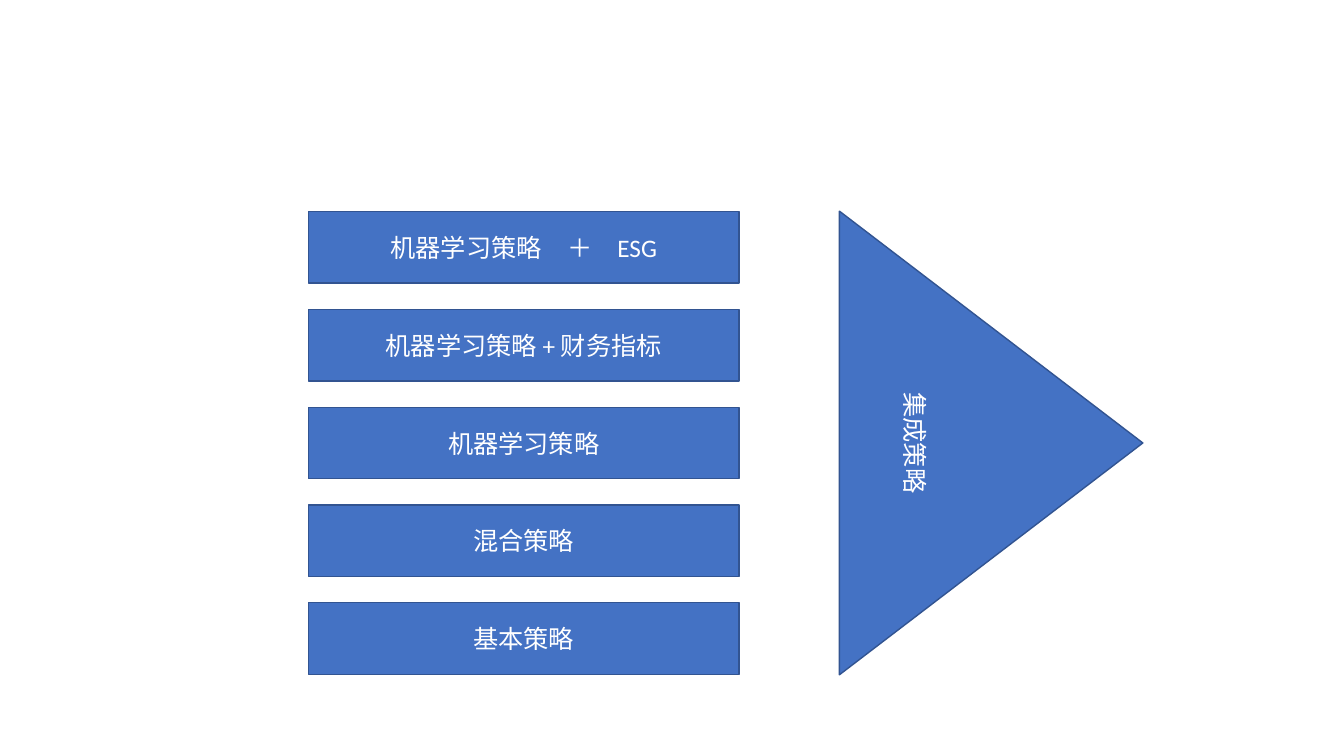
from pptx import Presentation
from pptx.dml.color import RGBColor
from pptx.enum.shapes import MSO_SHAPE
from pptx.enum.text import MSO_ANCHOR, PP_ALIGN
from pptx.util import Inches, Pt

STRATEGIES = [
    "机器学习策略　＋　ESG",
    "机器学习策略 + 财务指标",
    "机器学习策略",
    "混合策略",
    "基本策略",
]
ENSEMBLE = "集成策略"

BLUE = RGBColor(0x44, 0x72, 0xC4)
DARK_BLUE = RGBColor(0x32, 0x54, 0x91)
WHITE = RGBColor(0xFF, 0xFF, 0xFF)

STACK_LEFT, STACK_TOP, STACK_PITCH = 3.06, 2.1, 0.97
STRATEGY_WIDTH, STRATEGY_HEIGHT = 4.27, 0.71
ENSEMBLE_BOX = (7.53, 2.89, 4.6, 3.01)


def add_block(slide, preset, box, label):
    block = slide.shapes.add_shape(preset, *map(Inches, box))
    block.shadow.inherit = False
    block.fill.solid()
    block.fill.fore_color.rgb = BLUE
    block.line.color.rgb = DARK_BLUE
    block.line.width = Pt(1)
    block.text_frame.vertical_anchor = MSO_ANCHOR.MIDDLE
    caption = block.text_frame.paragraphs[0]
    caption.text = label
    caption.alignment = PP_ALIGN.CENTER
    caption.font.name = "Calibri"
    caption.font.size = Pt(18)
    caption.font.color.rgb = WHITE
    return block


def main():
    deck = Presentation()
    deck.slide_width, deck.slide_height = Inches(13.33), Inches(7.5)
    slide = deck.slides.add_slide(deck.slide_layouts[6])

    for row, strategy in enumerate(STRATEGIES):
        top = STACK_TOP + row * STACK_PITCH
        box = (STACK_LEFT, top, STRATEGY_WIDTH, STRATEGY_HEIGHT)
        add_block(slide, MSO_SHAPE.RECTANGLE, box, strategy)

    ensemble = add_block(slide, MSO_SHAPE.ISOSCELES_TRIANGLE, ENSEMBLE_BOX, ENSEMBLE)
    ensemble.rotation = 90

    deck.save("out.pptx")


if __name__ == "__main__":
    main()
